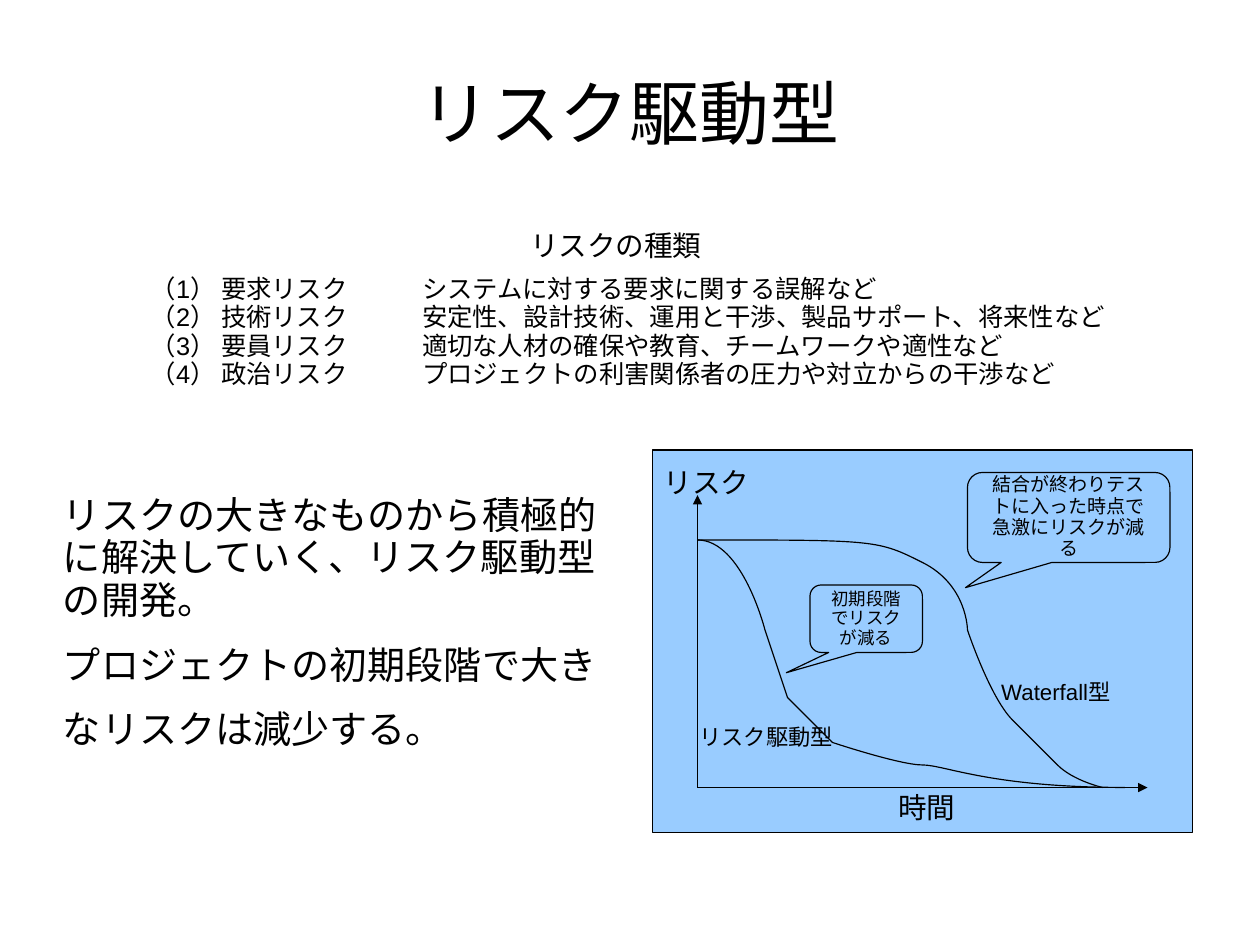
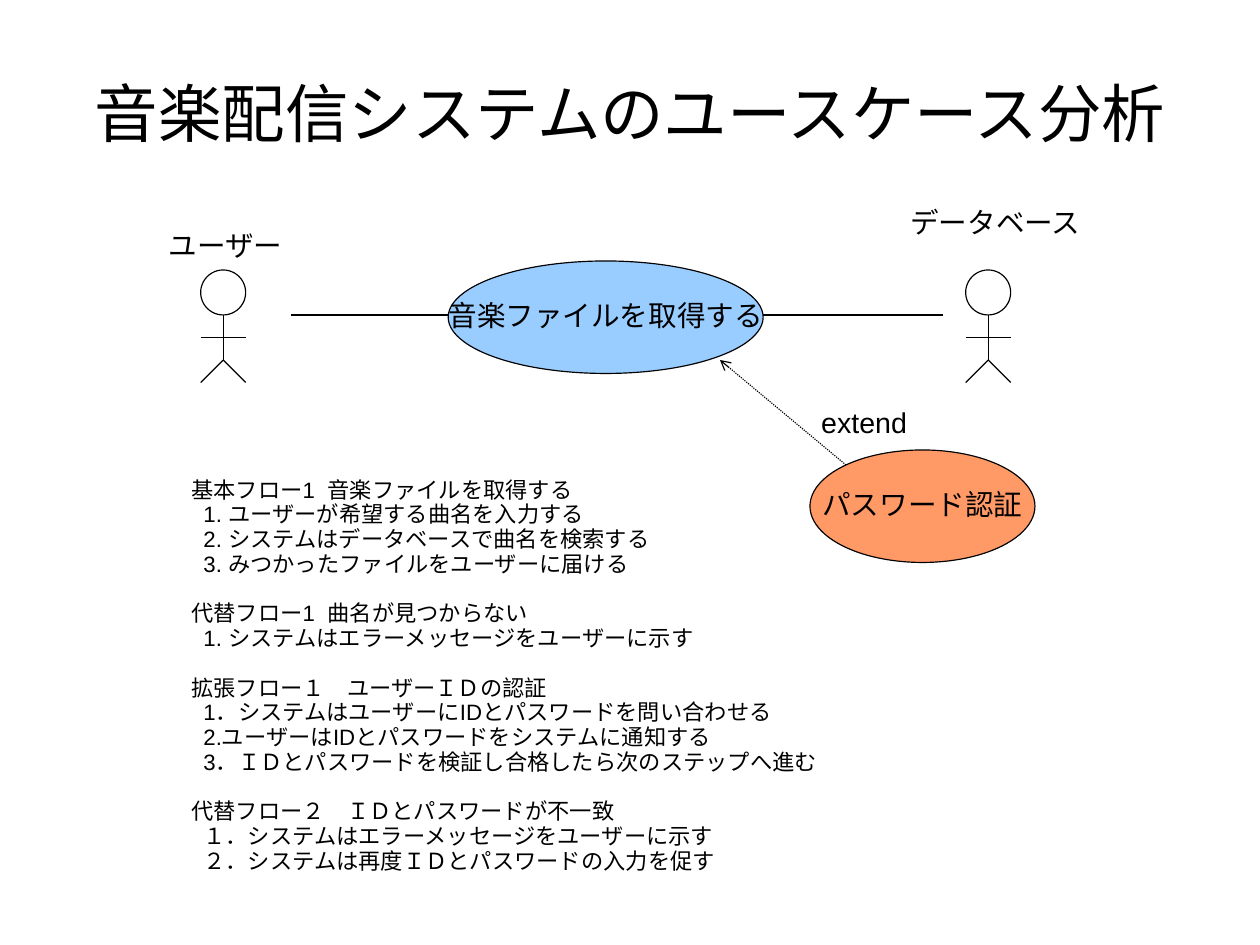
"""Builds two slides: risk-driven development and a use case analysis."""
from pptx import Presentation
from pptx import util as u
from pptx.dml.color import RGBColor
from pptx.enum import dml, shapes, text
from pptx.oxml import ns
from lxml import etree

FONT = "Arial"
INK, BLUE, ORANGE = "000000", "99CCFF", "FF9966"
LINE_WIDTH = 0.74
LINE_SPACING = 0.93
TAB_STEP = 2.01
INSETS = (0.25, 0.13)
TITLE_BOX = (1.4, 0.84, 25.2, 3.5)
CENTER = text.PP_ALIGN.CENTER
LEFT = text.PP_ALIGN.LEFT
OVAL = shapes.MSO_SHAPE.OVAL
CALLOUT = shapes.MSO_SHAPE.ROUNDED_RECTANGULAR_CALLOUT


def colour(value):
    """Turn a hex string into a colour."""
    return RGBColor.from_string(value)


def cm(*lengths):
    """Turn numbers into lengths in centimetres."""
    return [u.Cm(length) for length in lengths]


def add_child(parent, tag, **attributes):
    """Append a drawing element to an XML parent."""
    return etree.SubElement(parent, ns.qn(tag), attributes)


def place(box, left, top, width, height):
    """Move and size a placeholder."""
    box.left, box.top, box.width, box.height = cm(left, top, width, height)


def format_frame(box, anchor, insets=INSETS, wrap=True):
    """Set anchor, margins and wrapping of a text frame."""
    frame = box.text_frame
    frame.auto_size = text.MSO_AUTO_SIZE.NONE
    frame.word_wrap = wrap
    frame.vertical_anchor = anchor
    frame.margin_left = frame.margin_right = u.Cm(insets[0])
    frame.margin_top = frame.margin_bottom = u.Cm(insets[1])
    return frame


def format_paragraph(para, size, align=LEFT, spacing=LINE_SPACING):
    """Give a paragraph the shared font and spacing."""
    para.alignment = align
    para.line_spacing = spacing
    para.space_before = u.Pt(0)
    para.font.name = FONT
    para.font.size = u.Pt(size)
    para.font.color.rgb = colour(INK)


def remove_bullet(para):
    """Remove the bullet and its hanging indent."""
    properties = para._p.get_or_add_pPr()
    properties.set("marL", "0")
    properties.set("indent", "0")
    font = properties.find(ns.qn("a:defRPr"))
    font.addprevious(etree.Element(ns.qn("a:buNone")))


def add_tab_stops(para, count=8):
    """Set evenly spaced tab stops."""
    properties = para._p.get_or_add_pPr()
    properties.set("defTabSz", str(u.Cm(TAB_STEP)))
    stops = etree.Element(ns.qn("a:tabLst"))
    for index in range(count):
        add_child(stops, "a:tab", pos=str(u.Cm(TAB_STEP * index)), algn="l")
    properties.find(ns.qn("a:defRPr")).addprevious(stops)


def add_title(page, wording, size):
    """Fill the title placeholder."""
    box = page.shapes.title
    place(box, *TITLE_BOX)
    frame = format_frame(box, text.MSO_ANCHOR.MIDDLE, (0, 0))
    frame.text = wording
    format_paragraph(frame.paragraphs[0], size, CENTER)


def fill_body(box, area, lines, size, anchor, insets=INSETS):
    """Fill a body placeholder with unbulleted lines."""
    place(box, *area)
    frame = format_frame(box, anchor, insets)
    frame.text = "\n".join(lines)
    for para in frame.paragraphs:
        format_paragraph(para, size)
        remove_bullet(para)
    return frame.paragraphs


def add_label(canvas, wording, area, size=18, wrap=False):
    """Add a plain text and return its paragraphs."""
    box = canvas.add_textbox(*cm(*area))
    frame = format_frame(box, text.MSO_ANCHOR.TOP, wrap=wrap)
    frame.text = wording
    for para in frame.paragraphs:
        format_paragraph(para, size)
    return frame.paragraphs


def outline(shape):
    """Give a shape or connector the shared thin line."""
    shape.line.color.rgb = colour(INK)
    shape.line.width = u.Pt(LINE_WIDTH)


def add_figure(canvas, kind, area, fill=None, wording="", size=18, wrap=True):
    """Add an outlined preset shape with optional centred text."""
    shape = canvas.add_shape(kind, *cm(*area))
    shape.shadow.inherit = False
    outline(shape)
    if fill:
        shape.fill.solid()
        shape.fill.fore_color.rgb = colour(fill)
    else:
        shape.fill.background()
    if wording:
        frame = format_frame(shape, text.MSO_ANCHOR.MIDDLE, wrap=wrap)
        frame.text = wording
        format_paragraph(frame.paragraphs[0], size, CENTER)
    return shape


def add_line(canvas, start, end, arrow=None, dash=None):
    """Add a straight line with an optional arrowhead at its end."""
    line = canvas.add_connector(shapes.MSO_CONNECTOR.STRAIGHT,
                                *cm(*start, *end))
    outline(line)
    if dash:
        line.line.dash_style = dash
    properties = line._element.spPr
    if arrow:
        add_child(properties.find(ns.qn("a:ln")), "a:tailEnd", type=arrow)
    add_child(properties, "a:effectLst")


def add_curve(canvas, origin, points):
    """Draw joined cubic curves through a start and triples of points."""
    lengths = [cm(origin[0] + x, origin[1] + y) for x, y in points]
    builder = canvas.build_freeform(*lengths[0])
    builder.add_line_segments(lengths[1:], close=False)
    curve = builder.convert_to_shape()
    curve.shadow.inherit = False
    curve.fill.background()
    outline(curve)
    steps = list(curve._element.iter(ns.qn("a:lnTo")))
    for first in range(0, len(steps), 3):
        bend = add_child(steps[first].getparent(), "a:cubicBezTo")
        for step in steps[first:first + 3]:
            bend.append(step[0])
            step.getparent().remove(step)


def add_risk_chart(canvas, left, top, width, height):
    """Draw the panel that compares risk over time."""
    def shift(x, y, *size):
        return (left + x, top + y, *size)

    add_figure(canvas, shapes.MSO_SHAPE.RECTANGLE,
               (left, top, width, height), BLUE)
    base = height - 1
    for tip in ((1, 1), (width - 1, base)):
        add_line(canvas, shift(1, base), shift(*tip), "triangle")

    risk_driven = [
        (1, 2),
        (2, 2), (2.5, 4), (2.5, 4),
        (2.5, 4), (3, 5.5), (3, 5.5),
        (3, 5.5), (4, 6.5), (4, 6.5),
        (4, 6.5), (5.5, 7), (6, 7),
        (6.5, 7), (7.5, base), (10.5, base),
    ]
    waterfall = [
        (1, 2),
        (5, 2), (5, 2), (6, 2.5),
        (7, 3), (7, 4), (7, 4),
        (7, 4), (7.5, 5.5), (8, 6),
        (8.5, 6.5), (8.5, 6.5), (9, 7),
        (9.35, 7.35), (10, base), (10, base),
    ]
    for points in (risk_driven, waterfall):
        add_curve(canvas, (left, top), points)

    for wording, area, size in (
            ("リスク駆動型", (0.79, 6, 3.2, 0.76), 14),
            ("Waterfall型", (7.5, 5, 2.97, 0.81), 14),
            ("リスク", (0, 0.26, 2.06, 0.89), 18),
            ("時間", (5.21, base, 1.78, 0.89), 18)):
        add_label(canvas, wording, shift(*area), size)

    for wording, area, size, pointer in (
            ("結合が終わりテストに入った時点で急激にリスクが減る",
             (7, 0.5, 4.5, 2), 12, (-0.51, 0.78)),
            ("初期段階でリスクが減る",
             (3.5, 3, 2.5, 1.5), 11, (-0.71, 0.8))):
        callout = add_figure(canvas, CALLOUT, shift(*area), BLUE,
                             wording, size)
        callout.adjustments[0], callout.adjustments[1] = pointer


def add_actor(canvas, left, top, size=1):
    """Draw a stick figure whose head has the given size."""
    figure = canvas.add_group_shape().shapes
    middle, right = left + size / 2, left + size
    neck, arms, hips, feet = (top + size * part for part in (1, 1.5, 2, 2.5))
    add_figure(figure, OVAL, (left, top, size, size))
    add_line(figure, (middle, neck), (middle, hips))
    add_line(figure, (left, arms), (right, arms))
    for foot in (left, right):
        add_line(figure, (middle, hips), (foot, feet))


def add_use_cases(canvas, left, top):
    """Draw actors, use cases and the links between them."""
    for x in (left - 0.04, left + 16.96):
        add_actor(canvas, x, top)
    add_label(canvas, "ユーザー", (left - 1, top - 1, 2.97, 0.89))
    add_label(canvas, "データベース", (left + 15.48, top - 1.5, 3.99, 0.89))
    add_figure(canvas, OVAL, (left + 5.46, top - 0.2, 7, 2.5), BLUE,
               "音楽ファイルを取得する", wrap=False)
    for start, end in ((1.97, 5.46), (12.46, 16.46)):
        add_line(canvas, (left + start, top + 1), (left + end, top + 1))
    add_line(canvas, (left + 14.5, top + 4.5), (left + 11.5, top + 2),
             "arrow", dml.MSO_LINE.ROUND_DOT)
    add_figure(canvas, OVAL, (left + 13.5, top + 4, 5, 2.5), ORANGE,
               "パスワード認証", wrap=False)
    add_label(canvas, "extend", (left + 13.5, top + 2.94, 2.39, 0.97))


def add_flows(box, area, flows, size=14, gap=15.5, indent=0.27):
    """List each flow with its indented steps."""
    lines = [line for flow in flows for line in flow]
    paragraphs = fill_body(box, area, lines, size, text.MSO_ANCHOR.TOP)
    headings = [flow[0] for flow in flows]
    for para, line in zip(paragraphs, lines):
        if line not in headings:
            para._p.pPr.set("marL", str(u.Cm(indent)))
        elif line != headings[0]:
            para.space_before = u.Pt(gap)


def build_risk_page(deck):
    """Build the slide on risk-driven development."""
    page = deck.slides.add_slide(deck.slide_layouts[1])
    add_title(page, "リスク駆動型", 44)
    add_label(page.shapes, "リスクの種類", (11.53, 5, 3.96, 0.89))
    kinds = [
        "（1） 要求リスク\tシステムに対する要求に関する誤解など",
        "（2） 技術リスク\t安定性、設計技術、運用と干渉、製品サポート、将来性など",
        "（3） 要員リスク\t適切な人材の確保や教育、チームワークや適性など",
        "（4） 政治リスク\tプロジェクトの利害関係者の圧力や対立からの干渉など",
    ]
    for para in add_label(page.shapes, "\n".join(kinds),
                          (3.1, 6, 22.23, 3.1), 16, wrap=True):
        add_tab_stops(para)
    paragraphs = fill_body(page.placeholders[1], (1.4, 9.8, 12.6, 8.1), [
        "リスクの大きなものから積極的に解決していく、リスク駆動型の開発。",
        "プロジェクトの初期段階で大きなリスクは減少する。",
    ], 24, text.MSO_ANCHOR.MIDDLE, (0, 0))
    paragraphs[1].line_spacing = 1.4
    add_risk_chart(page.shapes, 14.5, 10, 12, 8.5)


def build_use_case_page(deck):
    """Build the slide on the use case analysis."""
    page = deck.slides.add_slide(deck.slide_layouts[1])
    add_title(page, "音楽配信システムのユースケース分析", 40)
    add_use_cases(page.shapes, 4.5, 6)
    add_flows(page.placeholders[1], (4, 10.5, 18.5, 9.22), [
        ("基本フロー1  音楽ファイルを取得する",
         "1. ユーザーが希望する曲名を入力する",
         "2. システムはデータベースで曲名を検索する",
         "3. みつかったファイルをユーザーに届ける"),
        ("代替フロー1  曲名が見つからない",
         "1. システムはエラーメッセージをユーザーに示す"),
        ("拡張フロー１　ユーザーＩＤの認証",
         "1．システムはユーザーにIDとパスワードを問い合わせる",
         "2.ユーザーはIDとパスワードをシステムに通知する",
         "3．ＩＤとパスワードを検証し合格したら次のステップへ進む"),
        ("代替フロー２　ＩＤとパスワードが不一致",
         "１．システムはエラーメッセージをユーザーに示す",
         "２．システムは再度ＩＤとパスワードの入力を促す"),
    ])


deck = Presentation()
deck.slide_width, deck.slide_height = cm(28, 21)
build_risk_page(deck)
build_use_case_page(deck)
deck.save("out.pptx")
